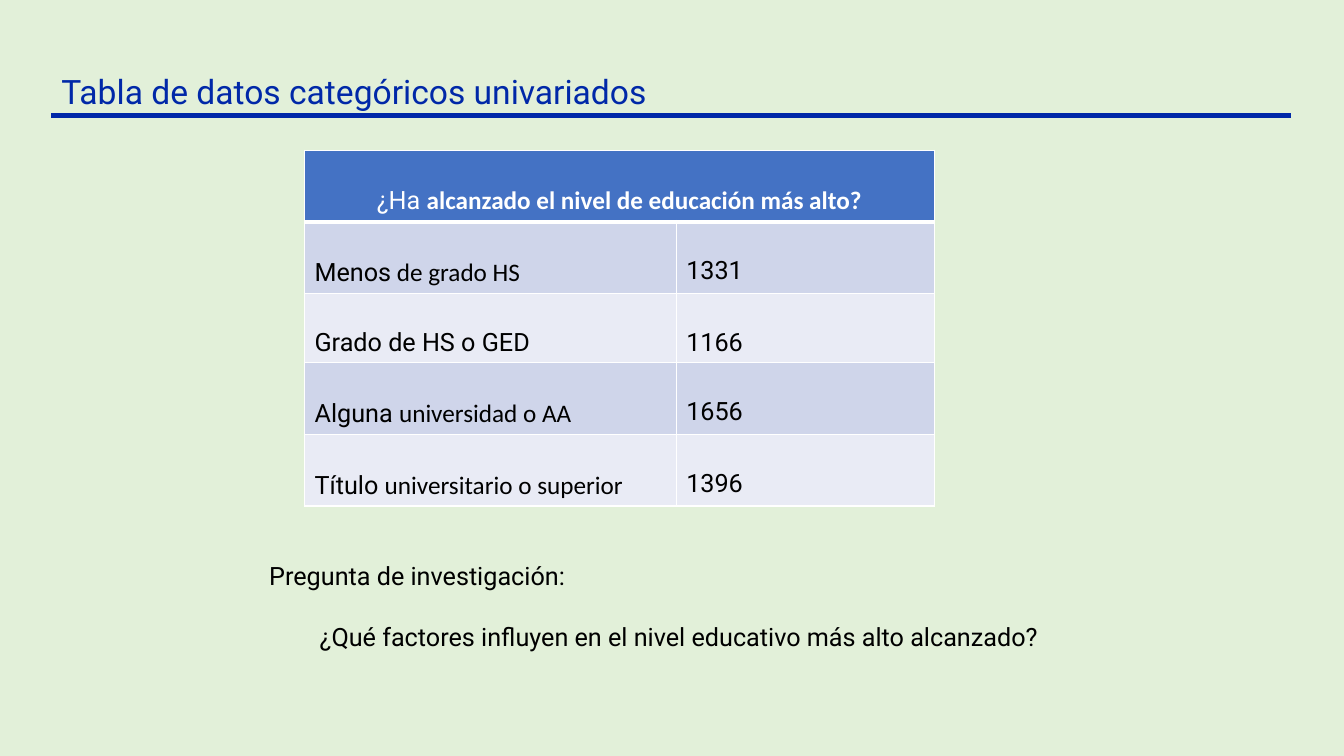
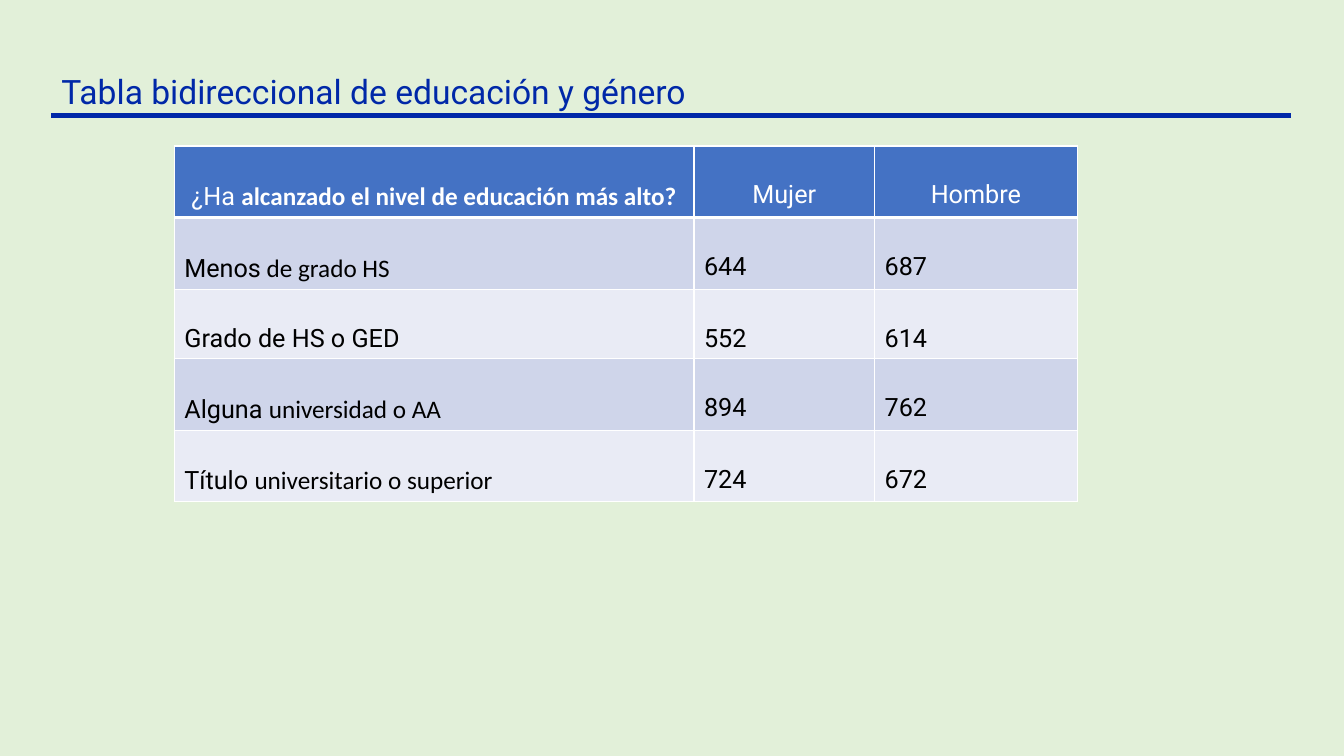
"""Build two slides with tables of education level, overall and by gender."""
from dataclasses import dataclass

from lxml import etree
from pptx import Presentation
from pptx.dml.color import RGBColor
from pptx.enum import shapes, text
from pptx.oxml import ns
from pptx.util import Emu, Pt

EMU_PER_PX = 9525


@dataclass(frozen=True)
class Theme:
    page: str = "E2F0D9"
    accent: str = "0028A8"
    header: str = "4472C4"
    bands: tuple[str, str] = ("CFD5EA", "E9EBF5")
    ink: str = "000000"
    white: str = "FFFFFF"
    font: str = "Roboto"
    alt_font: str = "Calibri"
    title_pt: int = 24
    body_pt: int = 18
    rule_pt: int = 3
    grid_pt: int = 1


@dataclass(frozen=True)
class Box:
    x: int
    y: int
    w: int
    h: int


@dataclass(frozen=True)
class Label:
    """Text that opens in the main font and ends in the second one."""
    lead: str
    tail: str = ""


@dataclass(frozen=True)
class TableSlide:
    title: str
    x: int
    y: int
    widths: tuple[int, ...]
    heads: tuple[Label, ...]
    counts: tuple[tuple[int, ...], ...]
    question: tuple[str, ...] = ()


THEME = Theme()
PAGE = Box(0, 0, 1280, 720)
TITLE = Box(49, 63, 786, 48)
RULE = Box(49, 110, 1181, 0)
QUESTION = Box(247, 529, 886, 97)
TABLE_H = 300
QUESTION_INDENT = 48
QUESTION_GAP_PT = 22

LEVEL_HEAD = Label("¿Ha ", "alcanzado el nivel de educación más alto?")
LEVELS = (
    Label("Menos", " de grado HS"),
    Label("Grado de HS o GED"),
    Label("Alguna ", "universidad o AA"),
    Label("Título ", "universitario o superior"),
)
SLIDES = (
    TableSlide(
        "Tabla de datos categóricos univariados", 290, 143, (354, 246),
        (LEVEL_HEAD,), ((1331,), (1166,), (1656,), (1396,)),
        ("Pregunta de investigación:",
         "¿Qué factores influyen en el nivel educativo más alto alcanzado?"),
    ),
    TableSlide(
        "Tabla bidireccional de educación y género", 166, 139, (495, 172, 193),
        (LEVEL_HEAD, Label("Mujer"), Label("Hombre")),
        ((644, 687), (552, 614), (894, 762), (724, 672)),
    ),
)


def px(n: int) -> Emu:
    """Turn pixels into EMU."""
    return Emu(n * EMU_PER_PX)


def rgb(color: str) -> RGBColor:
    """Turn a hex string into a colour."""
    return RGBColor.from_string(color)


def add_run(p, words: str, size: int, color: str, font: str = THEME.font,
            bold: bool = False) -> None:
    """Append one formatted run to a paragraph."""
    r = p.add_run()
    r.text = words
    r.font.name = font
    r.font.size = Pt(size)
    r.font.bold = bold
    r.font.color.rgb = rgb(color)


def add_box(slide, box: Box):
    """Add a wrapping text box and return its text frame."""
    sp = slide.shapes.add_textbox(px(box.x), px(box.y), px(box.w), px(box.h))
    tf = sp.text_frame
    tf.word_wrap = True
    tf.auto_size = text.MSO_AUTO_SIZE.SHAPE_TO_FIT_TEXT
    return tf


def add_title(slide, title: str) -> None:
    """Draw the rule and the title above it."""
    line = slide.shapes.add_connector(
        shapes.MSO_CONNECTOR.STRAIGHT, px(RULE.x), px(RULE.y),
        px(RULE.x + RULE.w), px(RULE.y))
    line.line.color.rgb = rgb(THEME.accent)
    line.line.width = Pt(THEME.rule_pt)
    etree.SubElement(line._element.spPr, ns.qn("a:effectLst"))
    tf = add_box(slide, TITLE)
    add_run(tf.paragraphs[0], title, THEME.title_pt, THEME.accent)


def set_borders(cell, top: int, bottom: int) -> None:
    """Give a cell white edges, with widths in points for top and bottom."""
    tc_pr = cell._tc.get_or_add_tcPr()
    widths = {"L": THEME.grid_pt, "R": THEME.grid_pt, "T": top, "B": bottom}
    for i, (side, width) in enumerate(widths.items()):
        ln = etree.Element(ns.qn(f"a:ln{side}"), w=str(Pt(width)))
        fill = etree.SubElement(ln, ns.qn("a:solidFill"))
        etree.SubElement(fill, ns.qn("a:srgbClr"), val=THEME.white)
        tc_pr.insert(i, ln)


def fill_cell(cell, label: Label, row: int) -> None:
    """Write and style one cell according to its row."""
    is_head = row == 0
    cell.fill.solid()
    cell.fill.fore_color.rgb = rgb(
        THEME.header if is_head else THEME.bands[(row - 1) % 2])
    set_borders(cell, THEME.rule_pt if row == 1 else THEME.grid_pt,
                THEME.rule_pt if is_head else THEME.grid_pt)
    p = cell.text_frame.paragraphs[0]
    p.line_spacing = 2.0
    if is_head:
        p.alignment = text.PP_ALIGN.CENTER
    color = THEME.white if is_head else THEME.ink
    if label.lead:
        add_run(p, label.lead, THEME.body_pt, color)
    if label.tail:
        add_run(p, label.tail, THEME.body_pt, color, THEME.alt_font, is_head)


def add_data_table(slide, data: TableSlide) -> None:
    """Draw the table, merging a lone heading across all columns."""
    rows = [data.heads] + [
        (level, *(Label(str(n)) for n in counts))
        for level, counts in zip(LEVELS, data.counts)]
    n_cols = len(data.widths)
    table = slide.shapes.add_table(
        len(rows), n_cols, px(data.x), px(data.y),
        px(sum(data.widths)), px(TABLE_H)).table
    for column, width in zip(table.columns, data.widths):
        column.width = px(width)
    if len(data.heads) < n_cols:
        table.cell(0, 0).merge(table.cell(0, n_cols - 1))
    for i, row in enumerate(rows):
        for j in range(n_cols):
            label = row[j] if j < len(row) else Label("")
            fill_cell(table.cell(i, j), label, i)


def add_question(slide, lines: tuple[str, ...]) -> None:
    """Write the lead-in and the indented question below it."""
    tf = add_box(slide, QUESTION)
    for i, words in enumerate(lines):
        p = tf.paragraphs[0] if i == 0 else tf.add_paragraph()
        if i:
            p.level = 1
            p.space_before = Pt(QUESTION_GAP_PT)
            p._p.get_or_add_pPr().set("marL", str(px(QUESTION_INDENT)))
        add_run(p, words, THEME.body_pt, THEME.ink)


def main() -> None:
    """Build and save the presentation."""
    prs = Presentation()
    prs.slide_width, prs.slide_height = px(PAGE.w), px(PAGE.h)
    for data in SLIDES:
        slide = prs.slides.add_slide(prs.slide_layouts[6])
        slide.background.fill.solid()
        slide.background.fill.fore_color.rgb = rgb(THEME.page)
        add_data_table(slide, data)
        if data.question:
            add_question(slide, data.question)
        add_title(slide, data.title)
    prs.save("out.pptx")


if __name__ == "__main__":
    main()
